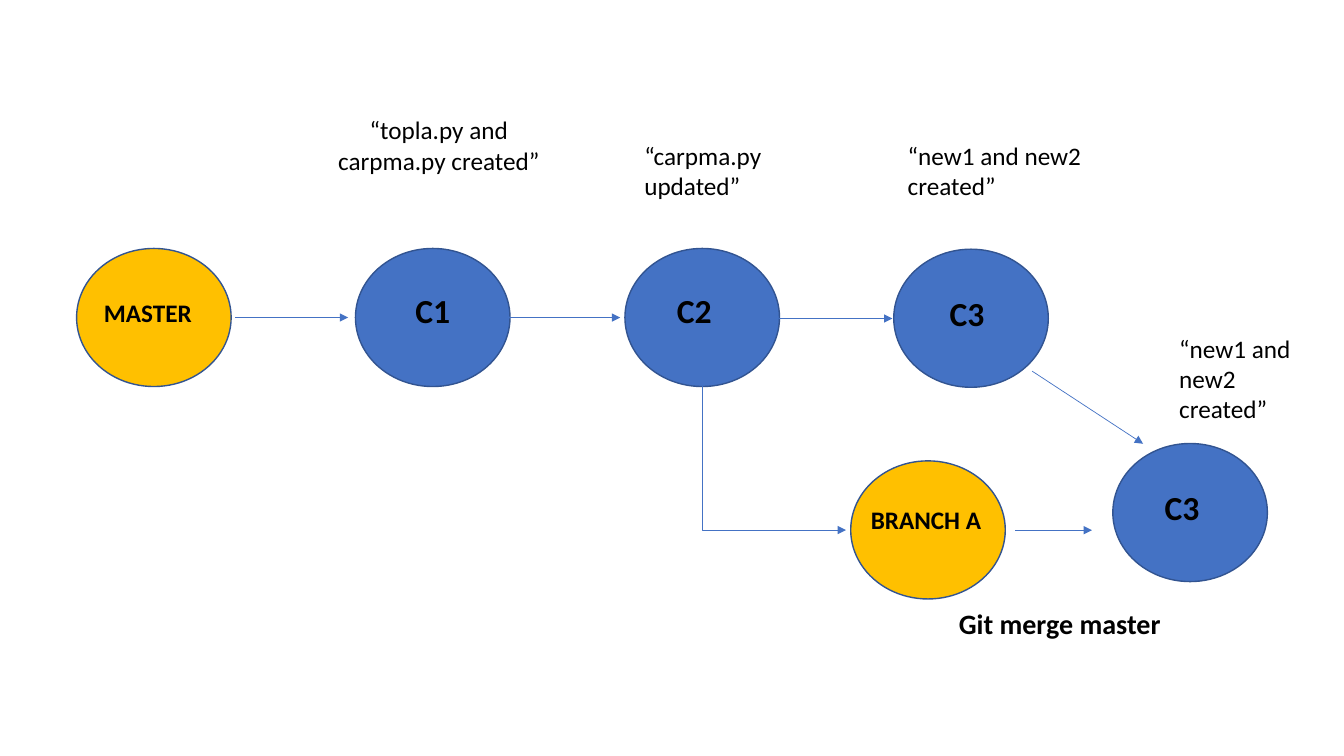
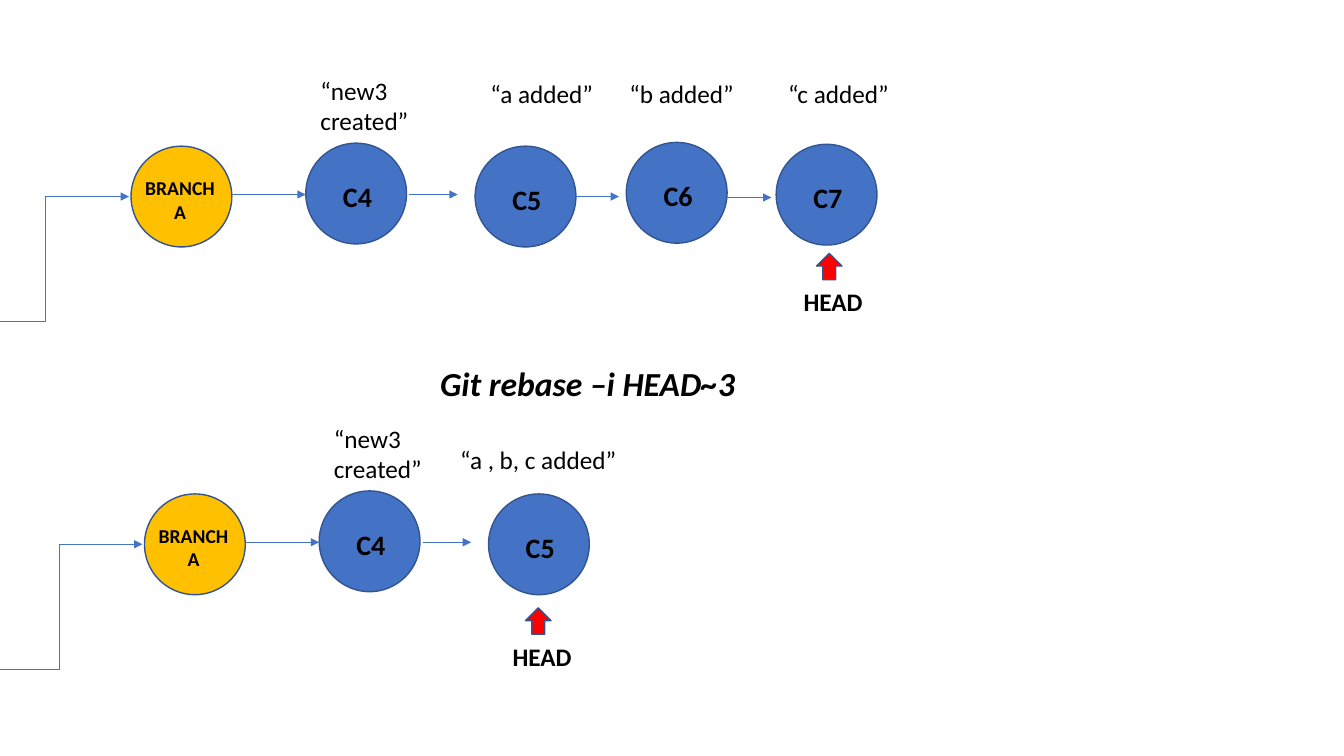
from lxml import etree
from pptx import Presentation
from pptx.dml.color import RGBColor
from pptx.enum.shapes import MSO_CONNECTOR, MSO_SHAPE
from pptx.enum.text import MSO_ANCHOR, PP_ALIGN
from pptx.oxml.ns import qn
from pptx.util import Inches, Pt

OVAL, UP_ARROW = MSO_SHAPE.OVAL, MSO_SHAPE.UP_ARROW
STRAIGHT, ELBOW = MSO_CONNECTOR.STRAIGHT, MSO_CONNECTOR.ELBOW
LEFT, CENTER = PP_ALIGN.LEFT, PP_ALIGN.CENTER
TOP, MIDDLE = MSO_ANCHOR.TOP, MSO_ANCHOR.MIDDLE

COLORS = {"branch": "FFC000", "commit": "4472C4", "head": "FF0000",
          "outline": "325491", "arrow": "4472C4", "text": "000000"}
FONT = "Calibri"
GRID = 100


class GitGraph:
    """Draws commit graphs on a grid of 100 columns by 100 rows."""

    def __init__(self):
        self.deck = Presentation()
        self.deck.slide_width = Inches(13.33)
        self.deck.slide_height = Inches(7.5)
        self.shapes = None
        self.node_size = None

    def new_slide(self, node_width, node_height):
        self.shapes = self.deck.slides.add_slide(self.deck.slide_layouts[6]).shapes
        self.node_size = node_width, node_height

    def col(self, columns):
        return round(self.deck.slide_width * columns / GRID)

    def row(self, rows):
        return round(self.deck.slide_height * rows / GRID)

    def box(self, x, y, width, height):
        return self.col(x), self.row(y), self.col(width), self.row(height)

    def text(self, words, x, y, width, height=5.33, size=18, bold=False,
             italic=False, align=LEFT, anchor=TOP):
        frame = self.shapes.add_textbox(*self.box(x, y, width, height)).text_frame
        frame.word_wrap = True
        frame.vertical_anchor = anchor
        line = frame.paragraphs[0]
        line.text = words
        line.alignment = align
        line.font.name, line.font.size = FONT, Pt(size)
        line.font.bold, line.font.italic = bold, italic
        line.font.color.rgb = RGBColor.from_string(COLORS["text"])

    def shape(self, kind, role, x, y, width, height):
        figure = self.shapes.add_shape(kind, *self.box(x, y, width, height))
        figure.shadow.inherit = False
        figure.fill.solid()
        figure.fill.fore_color.rgb = RGBColor.from_string(COLORS[role])
        figure.line.color.rgb = RGBColor.from_string(COLORS["outline"])
        figure.line.width = Pt(1)

    def node(self, label, x, y, size, role="commit", shift=(0.1, 0.4)):
        width, height = self.node_size
        left, top = x - width / 2, y - height / 2
        self.shape(OVAL, role, left, top, width, height)
        self.text(label, left + shift[0], top + shift[1], width, height,
                  size, bold=True, align=CENTER, anchor=MIDDLE)

    def arrow(self, x1, y1, x2, y2, kind=STRAIGHT):
        link = self.shapes.add_connector(
            kind, self.col(x1), self.row(y1), self.col(x2), self.row(y2))
        link.line.color.rgb = RGBColor.from_string(COLORS["arrow"])
        link.line.width = Pt(0.5)
        properties = link.element.spPr
        etree.SubElement(properties.find(qn("a:ln")), qn("a:tailEnd"), type="triangle")
        etree.SubElement(properties, qn("a:effectLst"))
        return properties

    def corner_arrow(self, x1, y1, x2, y2):
        properties = self.arrow(x1, y1, x2, y2, ELBOW)
        properties.find(qn("a:prstGeom")).set("prst", "bentConnector2")
        frame = properties.find(qn("a:xfrm"))
        frame.set("rot", "16200000")
        frame.set("flipH", "1")

    def head(self, x, y):
        self.shape(UP_ARROW, "head", x, y, 1.9, 3.5)
        self.text("HEAD", x - 1.7, y + 3.73, 7, bold=True)

    def branch_start(self, dx, dy):
        self.arrow(dx - 2.78, dy + 42.53, dx + 9.6, dy + 26, ELBOW)
        self.node("BRANCH A", dx + 13.5, dy + 26, 14, "branch", (-0.1, 0.4))
        self.node("C4", dx + 26.5, dy + 25.6, 20)
        self.node("C5", dx + 39.1, dy + 26, 20)
        self.text("“new3 created”", dx + 23.1, dy + 9.33, 11.8, 9.4)
        for start, end in ((17.25, 22.75), (30.45, 34.05)):
            self.arrow(dx + start, dy + 25.73, dx + end, dy + 25.73)


def merge_slide(graph):
    graph.new_slide(11.5, 18.27)
    graph.node("MASTER", 11.45, 42, 18, "branch", (-0.45, -0.6))
    graph.node("C1", 32.2, 42, 24, shift=(0, -1))
    graph.node("C2", 52.25, 42, 24, shift=(-0.6, -1))
    graph.node("C3", 72.25, 42.1, 24, shift=(-0.3, -0.75))
    graph.node("BRANCH A", 69.05, 70.1, 18, "branch", (-0.15, -1.4))
    graph.node("C3", 88.55, 67.8, 24, shift=(-0.6, -0.75))

    for start, y in ((17.5, 42), (37.75, 42), (58, 42.13)):
        graph.arrow(start, y, start + 8.4, y)
    graph.arrow(75.55, 70.13, 81.25, 70.13)
    graph.arrow(76.8, 49.1, 85.05, 58.7)
    graph.corner_arrow(52.25, 51.1, 62.95, 70.1)

    graph.text("“topla.py and carpma.py created”", 24.25, 14.5, 16.8, 9.4, align=CENTER)
    graph.text("“carpma.py updated”", 47.2, 17.9, 15, 9.4)
    graph.text("“new1 and new2 created”", 66.8, 17.9, 16, 9.4)
    graph.text("“new1 and new2 created”", 87, 43.4, 12, 13.5)
    graph.text("Git merge master", 70.6, 79.6, 20, 5.9, 20, bold=True)


def rebase_slide(graph):
    graph.new_slide(7.5, 13.33)
    graph.branch_start(0, 0)
    graph.node("C6", 50.35, 25.5, 20)
    graph.node("C7", 61.5, 25.75, 20)
    graph.arrow(42.45, 26, 46.05, 26)
    graph.arrow(54.1, 26.13, 57.4, 26.13)
    for words, x in (("“a added”", 35.75), ("“b added”", 46.1), ("“c added”", 57.9)):
        graph.text(words, x, 9.7, 12.8)
    graph.head(60.75, 33.5)

    graph.text("Git rebase –i HEAD~3", 32, 47.33, 27.8, 6.7, 24, bold=True, italic=True)

    graph.branch_start(1, 46)
    graph.text("“a , b, c added”", 33.5, 58.13, 15.2)
    graph.head(39.1, 80.4)


def main():
    graph = GitGraph()
    merge_slide(graph)
    rebase_slide(graph)
    graph.deck.save("out.pptx")


if __name__ == "__main__":
    main()
